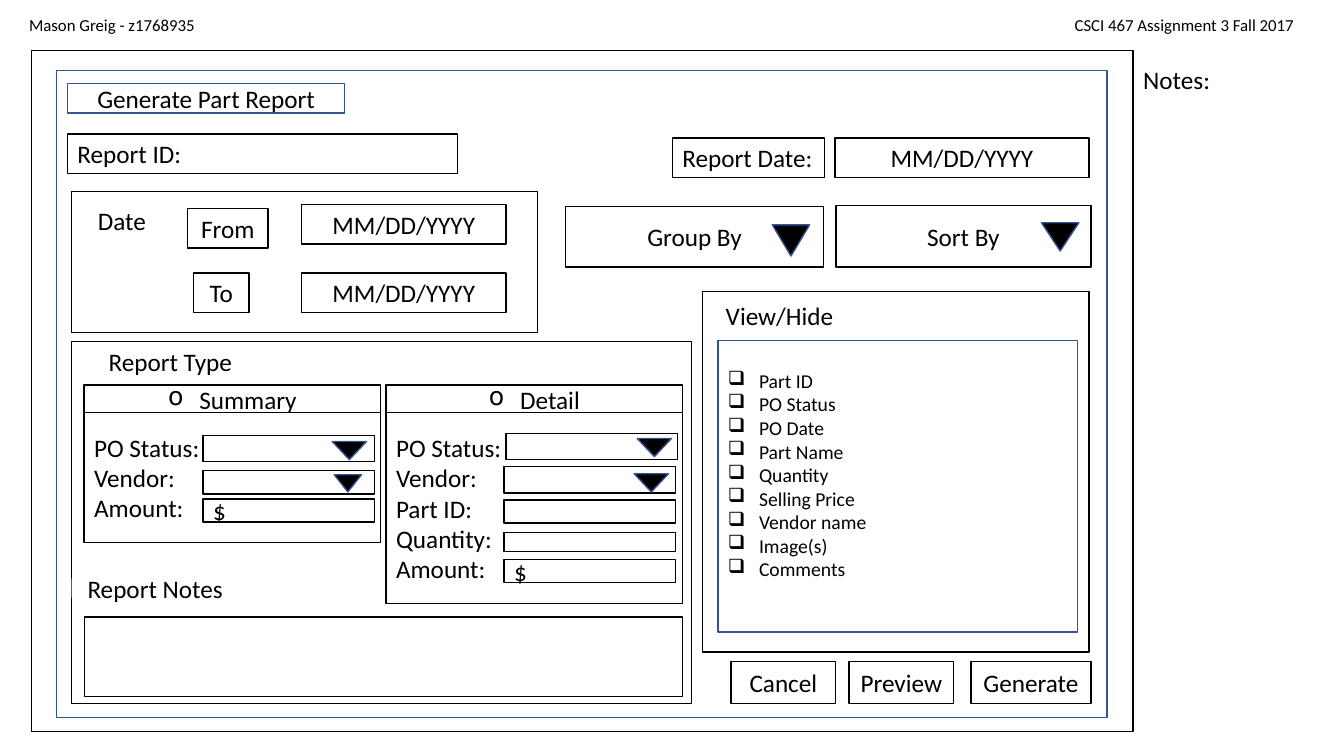
from collections import namedtuple
from lxml.etree import SubElement as Sub
from pptx import Presentation
from pptx.dml.color import RGBColor as Rgb
from pptx.enum.shapes import MSO_SHAPE as Kind
from pptx.enum.text import MSO_ANCHOR as Anchor, MSO_AUTO_SIZE as Auto, PP_ALIGN as Align
from pptx.oxml.ns import qn
from pptx.util import Inches, Pt

CELL = Inches(0.1)  # grid of 133.33 columns by 75 rows
BLACK, WHITE, BLUE = "000000", "FFFFFF", "325491"
LEFT, MID = Align.LEFT, Align.CENTER
DATE = "MM/DD/YYYY"
COLUMNS = ["Part ID", "PO Status", "PO Date", "Part Name", "Quantity",
           "Selling Price", "Vendor name", "Image(s)", "Comments"]


class Box(namedtuple("Box", "x y w h")):
    """A region, in columns and rows of the grid."""

    def sub(self, x, y, w, h):
        """Return a box placed from this one's top left corner."""
        return Box(self.x + x, self.y + y, w, h)

    def emu(self):
        """Return the four lengths in drawing units."""
        return [round(v * CELL) for v in self]


def color(code):
    """Turn a hex string into a colour."""
    return Rgb.from_string(code)


def paint(shape, fill, line):
    """Set fill and outline; None means none."""
    if fill:
        shape.fill.solid()
        shape.fill.fore_color.rgb = color(fill)
    else:
        shape.fill.background()
    if line:
        shape.line.color.rgb = color(line)
        shape.line.width = Pt(1)
    else:
        shape.line.fill.background()


def mark(para, sign):
    """Give a paragraph a hanging bullet."""
    props = para._p.get_or_add_pPr()
    props.set("marL", str(Inches(0.31)))
    props.set("indent", str(-Inches(0.31)))
    Sub(props, qn("a:buChar"), char=sign)


def write(shape, lines, align=LEFT, size=18, anchor=Anchor.MIDDLE, sign=None):
    """Write one paragraph for each line."""
    frame = shape.text_frame
    frame.word_wrap = True
    frame.auto_size = Auto.NONE
    frame.vertical_anchor = anchor
    for i, line in enumerate(lines):
        para = frame.add_paragraph() if i else frame.paragraphs[0]
        para.alignment = align
        if sign:
            mark(para, sign)
        run = para.add_run()
        run.text = line
        run.font.name = "Calibri"
        run.font.size = Pt(size)
        run.font.color.rgb = color(BLACK)


def rect(slide, box, *lines, line=BLACK, fill=WHITE, **style):
    """Draw a rectangle with optional text."""
    shape = slide.shapes.add_shape(Kind.RECTANGLE, *box.emu())
    shape.shadow.inherit = False
    paint(shape, fill, line)
    if lines:
        write(shape, lines, **style)
    return shape


def label(slide, box, text, **style):
    """Add a plain text box."""
    write(slide.shapes.add_textbox(*box.emu()), [text], **style)


def arrow(slide, box):
    """Draw the downward triangle of a drop-down."""
    shape = slide.shapes.add_shape(Kind.ISOSCELES_TRIANGLE, *box.emu())
    shape.rotation = 180
    shape.shadow.inherit = False
    paint(shape, BLACK, BLUE)


def margin(slide, box):
    """Place the texts around the form."""
    label(slide, box.sub(1.9, 1, 19.4, 3), "Mason Greig - z1768935",
          size=12, anchor=Anchor.TOP)
    label(slide, box.sub(105.6, 1, 25.4, 3), "CSCI 467 Assignment 3 Fall 2017",
          size=12, anchor=Anchor.TOP)
    label(slide, box.sub(112.4, 5.9, 9.1, 4), "Notes:", anchor=Anchor.TOP)


def window(slide, box):
    """Draw the form's double frame and its title."""
    rect(slide, box, fill=None)
    rect(slide, box.sub(2.5, 2, 104.2, 64.2), line=BLUE, fill=None)
    title = slide.shapes.title
    title.left, title.top, title.width, title.height = box.sub(3.6, 3.3, 27.5, 2.9).emu()
    paint(title, WHITE, BLUE)
    write(title, ["Generate Part Report"], align=MID)


def ident(slide, box):
    """Draw the row with report number and date."""
    rect(slide, box.sub(0, 0, 38.7, 3.9), "Report ID:")
    rect(slide, box.sub(60, 0.4, 15.1, 3.9), "Report Date:")
    rect(slide, box.sub(76.1, 0.4, 25.2, 3.9), DATE, align=MID)


def span(slide, box):
    """Draw the panel for the date range."""
    rect(slide, box, fill=None)
    label(slide, box.sub(1, 0.9, 8, 3.9), "Date", align=MID)
    for name, x, y, w, top in [("From", 11.5, 1.7, 8, 1.3), ("To", 12.1, 8.1, 5.5, 8.1)]:
        rect(slide, box.sub(x, y, w, 3.9), name, align=MID)
        rect(slide, box.sub(22.8, top, 20.3, 3.9), DATE, align=MID)


def order(slide, box):
    """Draw the two large drop-downs."""
    group, sort = box.sub(0, 0.1, 25.6, 6), box.sub(26.8, 0, 25.3, 6.1)
    rect(slide, group, "Group By", align=MID)
    arrow(slide, group.sub(20.5, 1.8, 3.7, 3.1))
    rect(slide, sort, "Sort By", align=MID)
    arrow(slide, sort.sub(20.4, 1.7, 3.7, 2.8))


def views(slide, box):
    """Draw the list of columns to view or hide."""
    rect(slide, box)
    label(slide, box.sub(1.3, 0.8, 35.7, 3.2), "View/Hide")
    items = rect(slide, box.sub(1.5, 4.9, 35.7, 28.9), *COLUMNS,
                 line=BLUE, size=14, sign="\u2751")
    items.text_frame.margin_bottom = Inches(0.28)


def option(slide, box, name, names, fields):
    """Draw a report type: heading, names and entry fields."""
    rect(slide, box.sub(0, 0, box.w, 2.8), name, align=MID, sign="o")
    body = box.sub(0, 2.7, box.w, box.h - 2.7)
    rect(slide, body, *names)
    for x, y, h, text, tip in fields:
        field = body.sub(x, y, 17, h)
        rect(slide, field, *text)
        if tip:
            arrow(slide, field.sub(*tip))


def types(slide, box):
    """Draw the report type panel with its notes."""
    rect(slide, box)
    label(slide, box.sub(1.5, 1, 16.6, 1.9), "Report Type", align=MID)
    option(slide, box.sub(1.25, 4.3, 29.4, 15.6), "Summary",
           ["PO Status:", "Vendor:", "Amount:"],
           [(11.8, 2.3, 2.6, "", (12.8, 0.6, 3.4, 1.8)),
            (11.8, 5.8, 2.3, "", (13, 0.4, 2.7, 1.7)),
            (11.8, 8.6, 2.3, "$", None)])
    option(slide, box.sub(31.2, 4.3, 29.4, 21.7), "Detail",
           ["PO Status:", "Vendor:", "Part ID:", "Quantity:", "Amount:"],
           [(11.9, 2.1, 2.6, "", (13, 0.5, 3.4, 1.8)),
            (11.7, 5.4, 2.6, "", (12.9, 0.7, 3.4, 1.8)),
            (11.7, 8.7, 2.3, "", None),
            (11.7, 11.9, 1.9, "", None),
            (11.7, 14.6, 2.3, "$", None)])
    rect(slide, box.sub(0, 23.5, 16.6, 1.9), "Report Notes", line=None, align=MID)
    rect(slide, box.sub(1.3, 27.3, 59.3, 7.9))


def buttons(slide, box):
    """Draw the row of buttons."""
    for name, x, w in [("Cancel", 0, 10.4), ("Preview", 11.7, 10.4), ("Generate", 23.8, 11.9)]:
        rect(slide, box.sub(x, 0, w, box.h), name, align=MID)


def main():
    """Build the slide and save it."""
    deck = Presentation()
    deck.slide_width, deck.slide_height = Inches(13.33), Inches(7.5)
    slide = deck.slides.add_slide(deck.slide_layouts.get_by_name("Title Only"))
    margin(slide, Box(0, 0, 133.3, 75))
    window(slide, Box(3.1, 5, 109.3, 67.6))
    ident(slide, Box(6.7, 13.3, 101.3, 4.3))
    span(slide, Box(7.1, 19, 46.2, 14))
    order(slide, Box(56.1, 20.4, 52.1, 6.1))
    types(slide, Box(7.1, 33.9, 61.5, 35.9))
    views(slide, Box(69.7, 28.9, 38.3, 35.8))
    buttons(slide, Box(72.5, 65.6, 35.7, 4.2))
    deck.save("out.pptx")


main()
